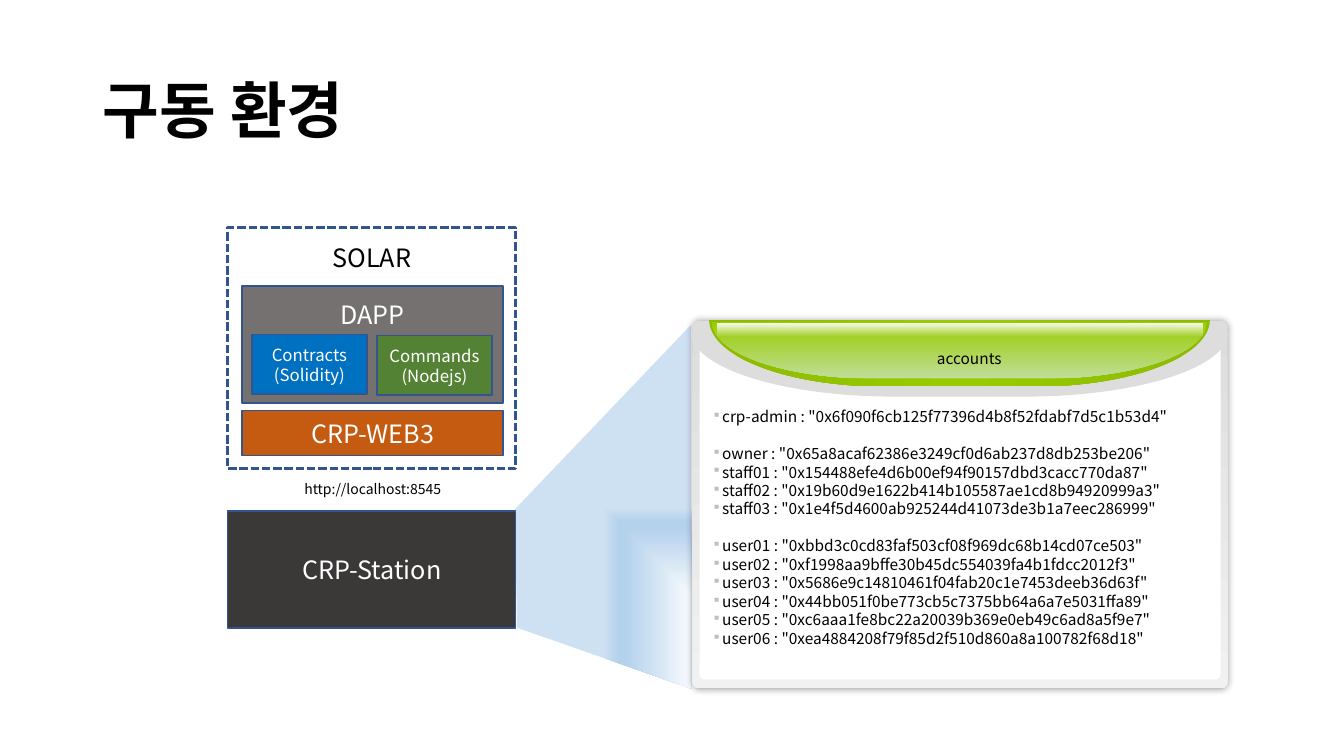
from dataclasses import dataclass
from typing import Optional, Union

from lxml.etree import Element, SubElement
from pptx import Presentation
from pptx.dml.color import RGBColor
from pptx.enum.dml import MSO_LINE
from pptx.enum.shapes import MSO_SHAPE
from pptx.enum.text import MSO_ANCHOR, PP_ALIGN
from pptx.oxml.ns import qn
from pptx.util import Cm, Pt


@dataclass(frozen=True)
class Theme:
    font: str = "Noto Sans CJK KR"
    title_size: int = 44
    block_size: int = 18
    part_size: int = 12
    account_size: int = 11
    url_size: int = 10
    black: str = "000000"
    white: str = "FFFFFF"
    outline: str = "325491"
    station: str = "3B3838"
    dapp: str = "767171"
    web3: str = "C55A11"
    contracts: str = "0070C0"
    commands: str = "548235"
    frame: str = "DDDDDD"
    frame_light: str = "F1F1F1"
    bullet: str = "BFBFBF"
    green: str = "99CC00"
    green_dark: str = "8CBB00"
    green_light: str = "C0DD98"
    beam: tuple = ("F7FAFD", "B5D2EC", "CEE1F2")


THEME = Theme()


@dataclass(frozen=True)
class Stop:
    position: int
    color: str
    opacity: int = 100


@dataclass(frozen=True)
class Gradient:
    stops: tuple
    angle: Optional[int] = None  # None runs from the bottom right corner


Fill = Union[str, Gradient, None]


@dataclass(frozen=True)
class Block:
    """A labelled rectangle; box holds left, top, width, height in cm."""
    label: str
    box: tuple
    fill: Optional[str] = None
    size: int = THEME.block_size
    color: str = THEME.white
    top_inset: Optional[float] = None  # None centres the label
    dashed: bool = False


@dataclass(frozen=True)
class Layer:
    """An unlined piece of the accounts panel."""
    kind: MSO_SHAPE
    box: tuple
    adjustment: float
    fill: Fill
    rotation: int = 0


BLOCKS = [
    Block("CRP-Station", (5.74, 12.88, 7.26, 2.95), THEME.station),
    Block("DAPP", (6.1, 7.21, 6.58, 2.95), THEME.dapp, top_inset=0.33),
    Block("CRP-WEB3", (6.1, 10.34, 6.58, 1.14), THEME.web3),
    Block("SOLAR", (5.74, 5.74, 7.26, 6.07), color=THEME.black,
          top_inset=0.37, dashed=True),
    Block("Contracts\n(Solidity)", (6.35, 8.43, 2.9, 1.5), THEME.contracts, THEME.part_size),
    Block("Commands\n(Nodejs)", (9.5, 8.46, 2.9, 1.5), THEME.commands, THEME.part_size),
]

LAYERS = [
    Layer(MSO_SHAPE.ROUNDED_RECTANGLE, (17.45, 8.08, 13.49, 9.27), 0.018,
          Gradient((Stop(0, THEME.frame), Stop(100, THEME.frame_light)), 90)),
    Layer(MSO_SHAPE.ROUNDED_RECTANGLE, (17.63, 8.64, 13.13, 8.48), 0.016, THEME.white),
    Layer(MSO_SHAPE.RIGHT_BRACKET, (23.37, 2.41, 1.63, 13.54), 3.147, THEME.frame, 90),
    Layer(MSO_SHAPE.RIGHT_BRACKET, (23.34, 2.59, 1.68, 12.62), 2.62,
          Gradient((Stop(0, THEME.green_dark), Stop(50, THEME.green),
                    Stop(100, THEME.green_dark)), 0), 90),
    Layer(MSO_SHAPE.RIGHT_BRACKET, (23.47, 2.59, 1.42, 12.47), 2.847,
          Gradient((Stop(0, THEME.green), Stop(100, THEME.green_light)), 90), 90),
    Layer(MSO_SHAPE.ROUNDED_RECTANGLE, (18.08, 8.15, 12.22, 0.3), 0,
          Gradient((Stop(0, THEME.white), Stop(100, THEME.white, 1)), 90)),
]

ACCOUNT_GROUPS = [
    ['crp-admin : "0x6f090f6cb125f77396d4b8f52fdabf7d5c1b53d4"'],
    ['owner : "0x65a8acaf62386e3249cf0d6ab237d8db253be206"',
     'staff01 : "0x154488efe4d6b00ef94f90157dbd3cacc770da87"',
     'staff02 : "0x19b60d9e1622b414b105587ae1cd8b94920999a3"',
     'staff03 : "0x1e4f5d4600ab925244d41073de3b1a7eec286999"'],
    ['user01 : "0xbbd3c0cd83faf503cf08f969dc68b14cd07ce503"',
     'user02 : "0xf1998aa9bffe30b45dc554039fa4b1fdcc2012f3"',
     'user03 : "0x5686e9c14810461f04fab20c1e7453deeb36d63f"',
     'user04 : "0x44bb051f0be773cb5c7375bb64a6a7e5031ffa89"',
     'user05 : "0xc6aaa1fe8bc22a20039b369e0eb49c6ad8a5f9e7"',
     'user06 : "0xea4884208f79f85d2f510d860a8a100782f68d18"'],
]


def add_color(parent, color: str, opacity: int = 100) -> None:
    srgb = SubElement(parent, qn("a:srgbClr"), val=color)
    if opacity < 100:
        SubElement(srgb, qn("a:alpha"), val=str(opacity * 1000))


def paint(shape, fill: Fill) -> None:
    """Fill a shape, and take away its line and shadow."""
    shape.shadow.inherit = False
    shape.line.fill.background()
    shape.fill.background()
    if isinstance(fill, str):
        shape.fill.solid()
        shape.fill.fore_color.rgb = RGBColor.from_string(fill)
    elif fill is not None:
        grad = Element(qn("a:gradFill"), rotWithShape="0")
        stops = SubElement(grad, qn("a:gsLst"))
        for stop in fill.stops:
            add_color(SubElement(stops, qn("a:gs"), pos=str(stop.position * 1000)),
                      stop.color, stop.opacity)
        if fill.angle is None:
            corner = SubElement(grad, qn("a:path"), path="rect")
            SubElement(corner, qn("a:fillToRect"), l="100000", t="100000")
        else:
            SubElement(grad, qn("a:lin"), ang=str(fill.angle * 60000), scaled="0")
        properties = shape._element.spPr
        properties.replace(properties.find(qn("a:noFill")), grad)


def add_bullet(paragraph) -> None:
    properties = paragraph._p.get_or_add_pPr()
    properties.set("marL", str(Cm(0.25)))
    properties.set("indent", str(Cm(-0.25)))
    add_color(SubElement(properties, qn("a:buClr")), THEME.bullet)
    SubElement(properties, qn("a:buSzPct"), val="80000")
    SubElement(properties, qn("a:buChar"), char="▪")


def write(shape, text: str, *, size: int, color: str = THEME.black, bold: bool = False,
          align=PP_ALIGN.LEFT, anchor=MSO_ANCHOR.TOP, wrap: bool = True,
          top_inset: float = 0.13, line_spacing: Optional[float] = None,
          bullets: bool = False, gaps: tuple = (), gap: float = 0) -> None:
    """Write one paragraph a line; those numbered in gaps get space before."""
    frame = shape.text_frame
    frame.word_wrap = wrap
    frame.vertical_anchor = anchor
    frame.margin_top = Cm(top_inset)
    for number, line in enumerate(text.split("\n")):
        paragraph = frame.paragraphs[0] if number == 0 else frame.add_paragraph()
        if bullets:
            add_bullet(paragraph)
        paragraph.alignment = align
        if line_spacing:
            paragraph.line_spacing = line_spacing
        if number in gaps:
            paragraph.space_before = Pt(gap)
        run = paragraph.add_run()
        run.text = line
        run.font.name, run.font.size, run.font.bold = THEME.font, Pt(size), bold
        run.font.color.rgb = RGBColor.from_string(color)
        SubElement(run._r.get_or_add_rPr(), qn("a:ea"), typeface=THEME.font)


def add_text(slide, text: str, box: tuple, **text_format) -> None:
    write(slide.shapes.add_textbox(*map(Cm, box)), text, **text_format)


def add_block(slide, block: Block) -> None:
    shape = slide.shapes.add_shape(MSO_SHAPE.RECTANGLE, *map(Cm, block.box))
    paint(shape, block.fill)
    shape.line.color.rgb = RGBColor.from_string(THEME.outline)
    shape.line.width = Pt(2 if block.dashed else 1)
    if block.dashed:
        shape.line.dash_style = MSO_LINE.SQUARE_DOT
    centred = block.top_inset is None
    write(shape, block.label, size=block.size, color=block.color, align=PP_ALIGN.CENTER,
          anchor=MSO_ANCHOR.MIDDLE if centred else MSO_ANCHOR.TOP,
          top_inset=0.13 if centred else block.top_inset)


def add_layer(slide, layer: Layer):
    shape = slide.shapes.add_shape(layer.kind, *map(Cm, layer.box))
    shape.adjustments[0] = layer.adjustment
    shape.rotation = layer.rotation
    paint(shape, layer.fill)
    return shape


def main() -> None:
    deck = Presentation()
    deck.slide_width, deck.slide_height = Cm(33.87), Cm(19.05)
    slide = deck.slides.add_slide(deck.slide_layouts[6])

    # Beam from the station to the accounts panel
    start, *corners = [(Cm(x), Cm(y)) for x, y in
                       ((12.98, 12.83), (17.42, 8.18), (17.42, 17.35), (13.03, 15.82))]
    outline = slide.shapes.build_freeform(*start)
    outline.add_line_segments(corners, close=True)
    pale, deep, edge = THEME.beam
    paint(outline.convert_to_shape(),
          Gradient((Stop(0, pale), Stop(74, deep), Stop(83, deep), Stop(100, edge))))

    # Title and software stack
    add_text(slide, "구동 환경", (2.34, 1.02, 29.21, 3.68), size=THEME.title_size,
             bold=True, anchor=MSO_ANCHOR.MIDDLE, line_spacing=0.9)
    for block in BLOCKS:
        add_block(slide, block)
    add_text(slide, "http://localhost:8545", (7.42, 11.99, 4.14, 0.69), size=THEME.url_size)

    # Accounts panel with a soft shadow around its frame
    panel, *_ = [add_layer(slide, layer) for layer in LAYERS]
    effects = panel._element.spPr.find(qn("a:effectLst"))
    glow = SubElement(effects, qn("a:outerShdw"), blurRad=str(Pt(5)), dist="0", dir="0",
                      algn="ctr", rotWithShape="0")
    add_color(glow, THEME.black, 40)
    add_text(slide, "accounts", (21.89, 8.31, 5.08, 1.42), size=THEME.account_size,
             align=PP_ALIGN.CENTER, anchor=MSO_ANCHOR.MIDDLE, wrap=False)

    # Account list, one line of space between groups
    admin, staff, users = ACCOUNT_GROUPS
    add_text(slide, "\n".join(admin + staff + users), (17.7, 10.13, 13.16, 6.43),
             size=THEME.account_size, bullets=True,
             gaps=(len(admin), len(admin + staff)), gap=13.2)

    deck.save("out.pptx")


if __name__ == "__main__":
    main()
